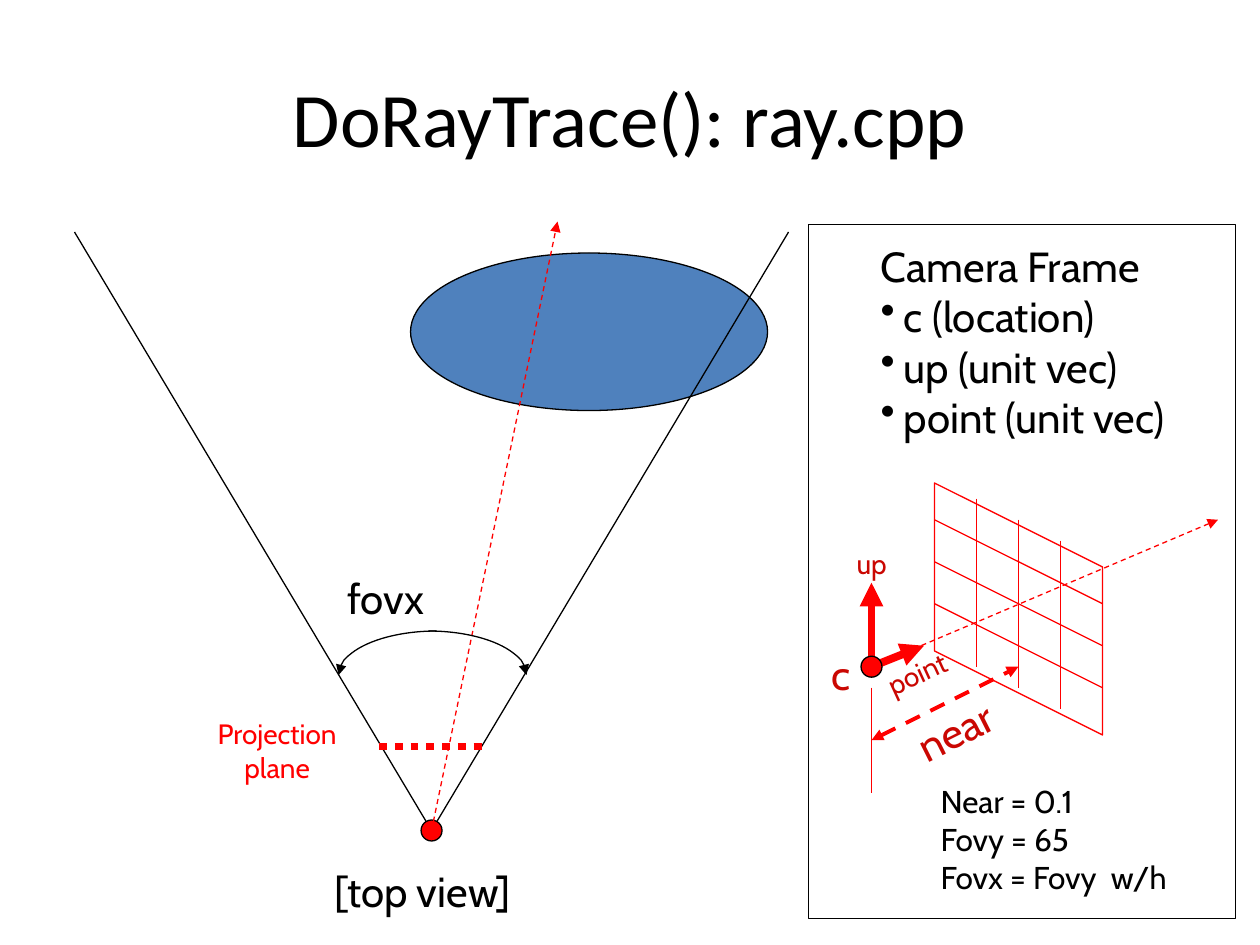
import pptx
import pptx.util
import pptx.dml.color
import pptx.enum.dml
import pptx.enum.shapes
import pptx.enum.text
import pptx.oxml.ns
import lxml.etree

COLUMNS, ROWS = 120, 90
CELL = pptx.util.Inches(10) / COLUMNS
BLACK, WHITE, RED, DARK_RED, BLUE = "000000", "FFFFFF", "FF0000", "CA0702", "4F81BD"
SHAPES = pptx.enum.shapes.MSO_SHAPE
DASHES = pptx.enum.dml.MSO_LINE
ALIGN = pptx.enum.text.PP_ALIGN
BULLET_INDENT = 2.2


def grid(*cells):
    return [round(cell * CELL) for cell in cells]


def color(hex_value):
    return pptx.dml.color.RGBColor.from_string(hex_value)


def add_tag(parent, tag, **attributes):
    return lxml.etree.SubElement(parent, pptx.oxml.ns.qn(tag), attributes)


def style_line(line, hex_value, width=0.75, dash=None, heads=()):
    line.color.rgb = color(hex_value)
    line.width = pptx.util.Pt(width)
    if dash:
        line.dash_style = dash
    outline = line._get_or_add_ln()
    for end in heads:
        add_tag(outline, f"a:{end}", type="triangle")


def add_line(slide, start, end, hex_value, **style):
    connector = slide.shapes.add_connector(
        pptx.enum.shapes.MSO_CONNECTOR.STRAIGHT, *grid(*start, *end))
    add_tag(connector._element.spPr, "a:effectLst")
    style_line(connector.line, hex_value, **style)


def add_outlined(slide, preset, box, fill=None, heads=()):
    shape = slide.shapes.add_shape(preset, *grid(*box))
    shape.shadow.inherit = False
    if fill:
        shape.fill.solid()
        shape.fill.fore_color.rgb = color(fill)
    else:
        shape.fill.background()
    style_line(shape.line, BLACK, heads=heads)
    return shape


def add_dot(slide, center):
    x, y = center
    add_outlined(slide, SHAPES.OVAL, (x - 1, y - 1, 2, 2), RED)


def add_arc(slide, center, radii, angles, head):
    (x, y), (rx, ry) = center, radii
    arc = add_outlined(slide, SHAPES.ARC, (x - rx, y - ry, 2 * rx, 2 * ry), heads=(head,))
    for index, degrees in enumerate(angles):
        arc.adjustments[index] = degrees * 0.6


def add_text(slide, box, lines, size, hex_value=BLACK, font="Cabin",
             align=ALIGN.LEFT, rotation=0, bulleted_from=None):
    label = slide.shapes.add_textbox(*grid(*box))
    label.rotation = rotation
    frame = label.text_frame
    frame.word_wrap = False
    frame.auto_size = pptx.enum.text.MSO_AUTO_SIZE.SHAPE_TO_FIT_TEXT
    for index, line in enumerate(lines):
        paragraph = frame.paragraphs[0] if index == 0 else frame.add_paragraph()
        paragraph.alignment = align
        if bulleted_from is not None and index >= bulleted_from:
            properties = paragraph._p.get_or_add_pPr()
            indent = grid(BULLET_INDENT)[0]
            properties.set("marL", str(indent))
            properties.set("indent", str(-indent))
            add_tag(properties, "a:buFontTx")
            add_tag(properties, "a:buChar", char="•")
        run = paragraph.add_run()
        run.text = line
        run.font.size = pptx.util.Pt(size)
        run.font.name = font
        run.font.color.rgb = color(hex_value)
    return frame


def add_title(slide, title):
    frame = add_text(slide, (6, 3.6, 108, 15), [title], 44, font="Calibri", align=ALIGN.CENTER)
    frame.auto_size = pptx.enum.text.MSO_AUTO_SIZE.NONE
    frame.word_wrap = True
    frame.vertical_anchor = pptx.enum.text.MSO_ANCHOR.MIDDLE


def add_projection_grid(slide, left, top, count=4, step=4, slope=0.5):
    side = count * step
    drop = side * slope
    corners = [(left, top + side), (left + side, top + side + drop), (left + side, top + drop)]
    builder = slide.shapes.build_freeform(left, top, scale=CELL)
    builder.add_line_segments(corners, close=True)
    outline = builder.convert_to_shape()
    outline.shadow.inherit = False
    outline.fill.background()
    style_line(outline.line, RED)
    for offset in range(step, side, step):
        row, column = top + offset, left + offset
        column_top = top + offset * slope
        add_line(slide, (left, row), (left + side, row + drop), RED)
        add_line(slide, (column, column_top), (column, column_top + side), RED)


def add_top_view(slide):
    eye = (41.1, 79.1)
    add_outlined(slide, SHAPES.OVAL, (39.1, 24.1, 34, 15), BLUE)
    for edge in (75.1, 7.1):
        add_line(slide, eye, (edge, 22.1), BLACK)
    add_dot(slide, eye)
    add_line(slide, (36.1, 71.1), (46.1, 71.1), RED, width=4.5, dash=DASHES.ROUND_DOT)
    add_line(slide, eye, (53.1, 21.1), RED, dash=DASHES.DASH, heads=("tailEnd",))
    add_arc(slide, (40.8, 64.3), (9.35, 4.2), (270, 0), "tailEnd")
    add_arc(slide, (41.6, 64.3), (9.35, 4.2), (180, 270), "headEnd")
    add_text(slide, (31.9, 53.9, 9.8, 6), ["fovx"], 24)
    add_text(slide, (30.7, 81.8, 20.4, 6), ["[top view]"], 24)
    add_text(slide, (19.3, 67.7, 14.2, 7.7), ["Projection", "plane"], 16, RED, align=ALIGN.CENTER)


def add_camera_frame(slide):
    camera = (83, 63.5)
    add_text(slide, (82.7, 22.3, 32.9, 20.6),
             ["Camera Frame", "c (location)", "up (unit vec)", "point (unit vec)"],
             24, bulleted_from=1)
    for tip in ((88, 61.5), (83, 55.5)):
        add_line(slide, camera, tip, RED, width=4.5, heads=("tailEnd",))
    add_projection_grid(slide, 89, 45.5)
    add_line(slide, camera, (116, 49.5), RED, dash=DASHES.DASH, heads=("tailEnd",))
    add_dot(slide, camera)
    add_line(slide, (83, 65.5), (83, 75.5), RED)
    add_line(slide, (83, 70.5), (97, 63.5), RED, width=2.25, dash=DASHES.DASH,
             heads=("headEnd", "tailEnd"))
    add_text(slide, (86, 66.5, 10.3, 6), ["near"], 24, DARK_RED, rotation=333.4)
    add_text(slide, (78, 61.2, 4.3, 6), ["c"], 24, DARK_RED)
    add_text(slide, (83.2, 61.9, 8.3, 4.4), ["point"], 16, DARK_RED, rotation=335.2)
    add_text(slide, (80.4, 51.5, 5.4, 4.4), ["up"], 16, DARK_RED)
    add_text(slide, (88.4, 73.9, 25.8, 12.1),
             ["Near = 0.1", "Fovy = 65", "Fovx = Fovy  w/h"], 18)


def main():
    presentation = pptx.Presentation()
    presentation.slide_width, presentation.slide_height = grid(COLUMNS, ROWS)
    slide = presentation.slides.add_slide(presentation.slide_layouts[6])
    add_outlined(slide, SHAPES.RECTANGLE, (77, 21.4, 40.7, 66.1), WHITE)
    add_title(slide, "DoRayTrace(): ray.cpp")
    add_top_view(slide)
    add_camera_frame(slide)
    presentation.save("out.pptx")


if __name__ == "__main__":
    main()
